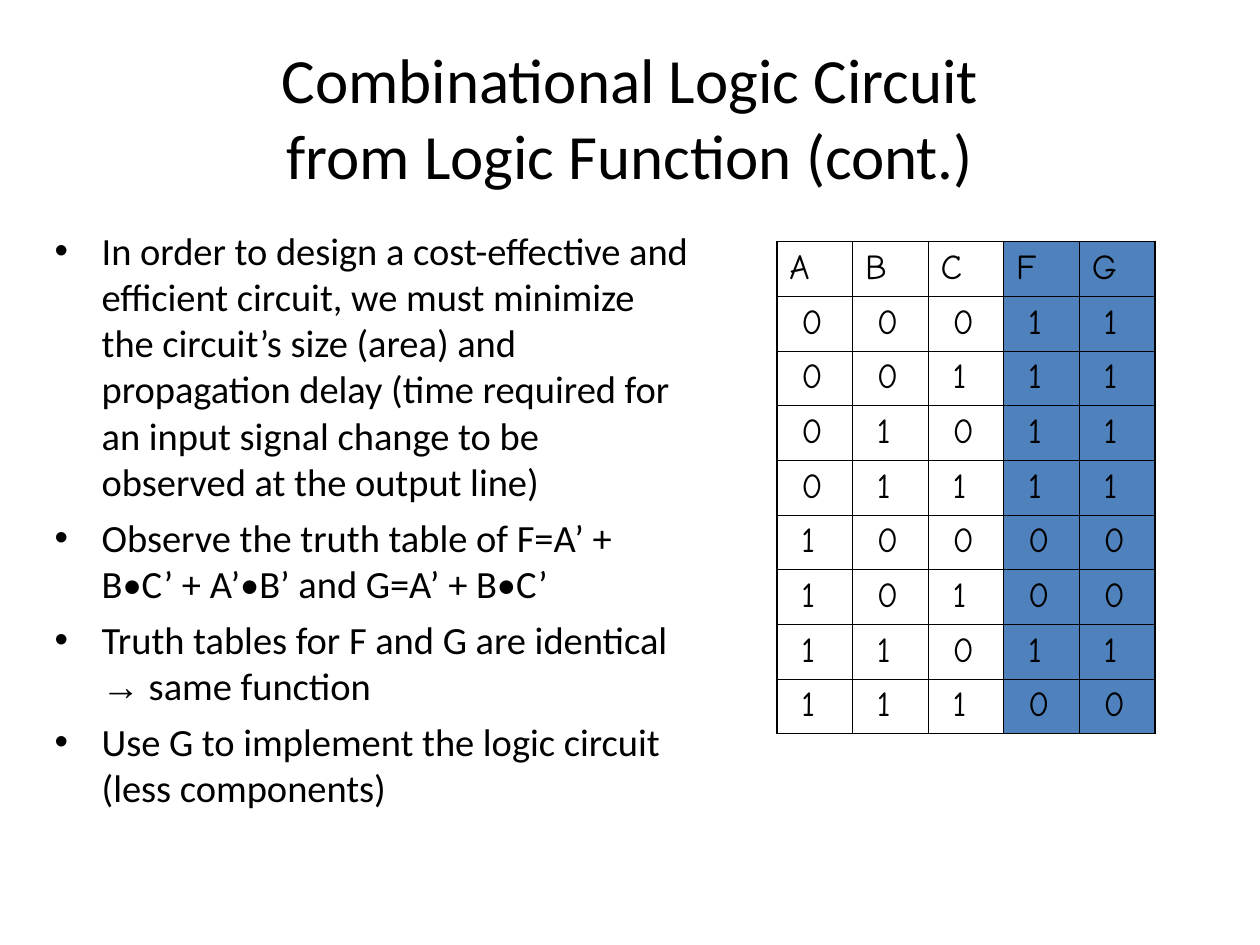
from itertools import product

from lxml import etree
from pptx import Presentation
from pptx import util as u
from pptx.dml.color import RGBColor
from pptx.enum import text
from pptx.oxml import ns

COLORS = {"ink": "000000", "output": "4F81BD"}
BODY_FONT, TABLE_FONT, SYMBOL_FONT = "Calibri", "Comic Neue", "Arial"
THIN, THICK = 0.45, 1.08

TITLE = "Combinational Logic Circuit\vfrom Logic Function (cont.)"
BULLETS = [
    ["In order to design a cost-effective and efficient circuit, we must "
     "minimize the circuit’s size (area) and propagation delay (time required "
     "for an input signal change to be observed at the output line)"],
    ["Observe the truth table of F=A’ + B•C’ + A’•B’ and G=A’ + B•C’"],
    ["Truth tables for F and G are identical ", "→", " same function"],
    ["Use G to implement the logic circuit (less components)"],
]


def truth_table():
    rows = [list("ABCFG")]
    for a, b, c in product((0, 1), repeat=3):
        g = (not a) or (b and not c)
        f = g or (not a and not b)
        rows.append([str(int(v)) for v in (a, b, c, f, g)])
    return rows


def sub(parent, tag, **attrs):
    return etree.SubElement(parent, ns.qn(tag), **attrs)


class Deck:
    """Holds the text style and the slide being filled."""

    def __init__(self, prs):
        self.s = prs.slides.add_slide(prs.slide_layouts[6])

    def style(self, p, size, font=BODY_FONT):
        p.font.size = u.Pt(size)
        p.font.name = font
        p.font.color.rgb = RGBColor.from_string(COLORS["ink"])

    def box(self, x, y, w, h, anchor):
        tf = self.s.shapes.add_textbox(*map(u.Cm, (x, y, w, h))).text_frame
        tf.word_wrap = True
        tf.vertical_anchor = anchor
        return tf

    def title(self, content, *place):
        p = self.box(*place, text.MSO_ANCHOR.MIDDLE).paragraphs[0]
        p.text = content
        p.alignment = text.PP_ALIGN.CENTER
        self.style(p, 36)

    def bullets(self, items, *place):
        tf = self.box(*place, text.MSO_ANCHOR.TOP)
        indent = u.Cm(0.95)
        for i, pieces in enumerate(items):
            p = tf.add_paragraph() if i else tf.paragraphs[0]
            pPr = p._p.get_or_add_pPr()
            pPr.set("marL", str(indent))
            pPr.set("indent", str(-indent))
            sub(pPr, "a:buFont", typeface=SYMBOL_FONT)
            sub(pPr, "a:buChar", char="•")
            if i:
                p.space_before = u.Pt(5.5)
            self.style(p, 22)
            for piece in pieces:
                r = p.add_run()
                r.text = piece
                if piece == "→":
                    r.font.name = SYMBOL_FONT

    def borders(self, cell, widths):
        """Draw the left, right, top and bottom lines, widths in points."""
        tcPr = cell._tc.get_or_add_tcPr()
        for side, width in zip("LRTB", widths):
            ln = sub(tcPr, f"a:ln{side}", w=str(u.Pt(width)))
            sub(sub(ln, "a:solidFill"), "a:srgbClr", val=COLORS["ink"])

    def table(self, rows, output_col, *place):
        """Draw rows; columns from output_col on are coloured."""
        n, m = len(rows), len(rows[0])
        table = self.s.shapes.add_table(n, m, *map(u.Cm, place)).table
        table.first_row = table.horz_banding = False
        for i, row in enumerate(rows):
            for j, value in enumerate(row):
                cell = table.cell(i, j)
                edges = (j == 0, j == m - 1, i == 0, i == n - 1)
                self.borders(cell, [THICK if e else THIN for e in edges])
                if j >= output_col:
                    cell.fill.solid()
                    cell.fill.fore_color.rgb = RGBColor.from_string(COLORS["output"])
                else:
                    cell.fill.background()
                p = cell.text_frame.paragraphs[0]
                p.text = value
                if i:
                    p._p.get_or_add_pPr().set("marL", str(u.Cm(0.24)))
                self.style(p, 20, TABLE_FONT)


def main():
    prs = Presentation()
    prs.slide_width, prs.slide_height = u.Cm(25.4), u.Cm(19.05)
    deck = Deck(prs)
    deck.title(TITLE, 0, 0.76, 25.4, 3.18)
    deck.bullets(BULLETS, 0.85, 4.45, 13.34, 12.57)
    deck.table(truth_table(), 3, 15.66, 4.87, 7.62, 9.92)
    prs.save("out.pptx")


if __name__ == "__main__":
    main()
